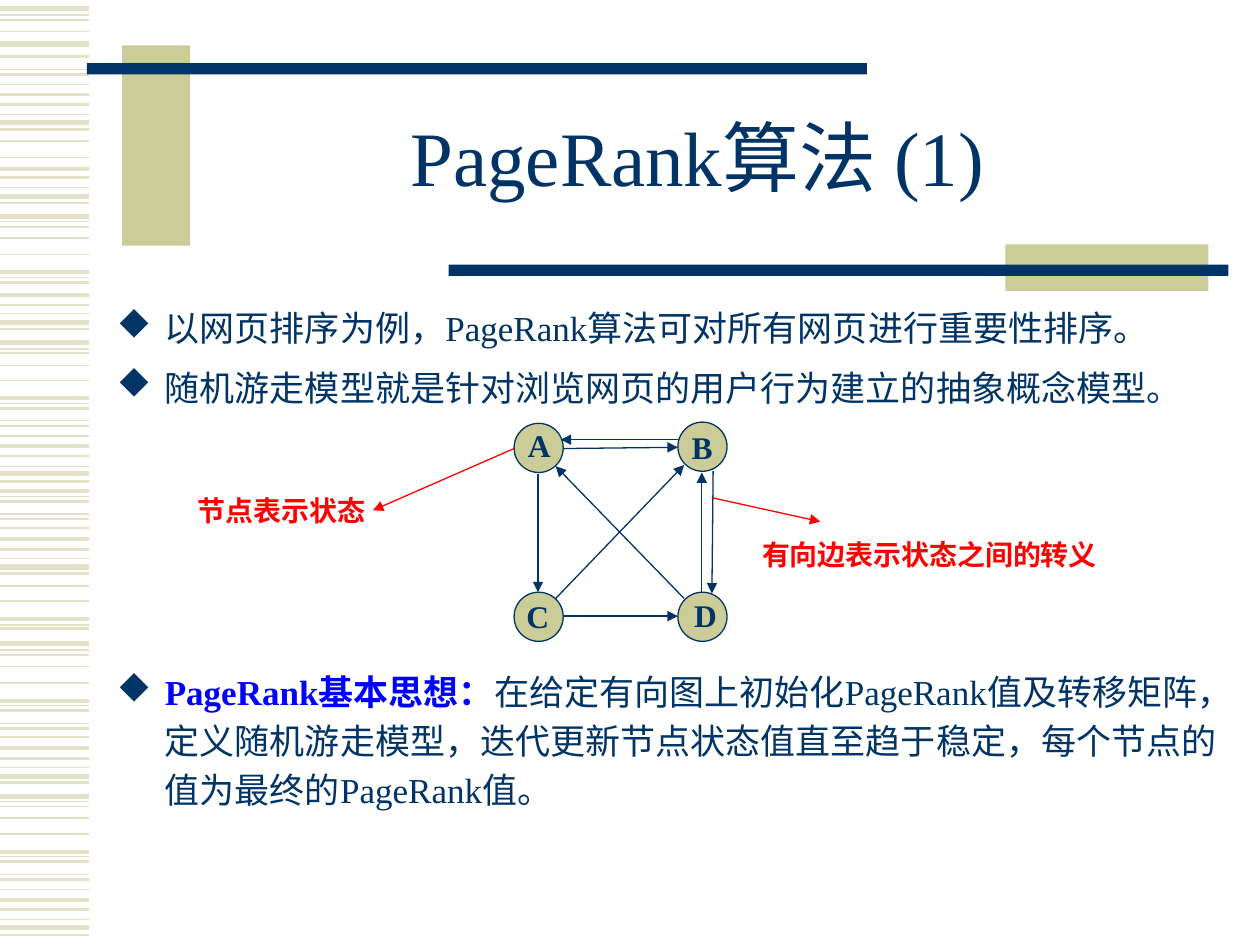
from lxml import etree
from pptx import Presentation
from pptx import util as u
from pptx.dml.color import RGBColor
from pptx.enum import shapes, text
from pptx.oxml.ns import qn

NAVY, KHAKI, PALE, RED, BLUE = "003366", "CCCC99", "E3E2C7", "FF0000", "0000FF"
FONT = "Times New Roman"
BULLET_FONT, DIAMOND = "Wingdings", "u"  # "u" is the diamond in this symbol font
COLUMNS, ROWS = 100, 75

# Margin stripes: line width in points -> rows
STRIPES = {
    3: [0.7, 3.5, 9.7, 15.6, 17.2, 25.6, 27.2, 37.6, 45, 51.1, 61.6, 63.2, 73.6],
    2.25: [7.5, 13.4, 21.6, 23.4, 31.6, 35.4, 39, 42.8, 49.1, 55.6, 59.4, 67.6, 71.4],
    1.5: [4.5, 5.9, 8.3, 10.3, 14.1, 16.1, 22.4, 24.2, 26.1, 32.4, 33.8, 36.2, 38.2,
          39.8, 41.2, 43.6, 45.5, 49.9, 56.4, 57.8, 60.2, 62.1, 68.4, 69.8, 72.2, 74.2],
    1: [1.6, 2.5, 6.7, 11.2, 12.5, 18, 18.9, 20.2, 28, 29, 30.2, 34.6, 41.9, 46.5,
        47.7, 52, 52.9, 54.2, 58.5, 64, 64.9, 66.2, 70.6],
    0.75: [1.2, 5.5, 9.1, 14.9, 17.6, 22, 24.9, 27.7, 32, 33.4, 37, 39.4, 40.8, 44.3,
           49.6, 51.6, 56, 57.4, 60.9, 63.6, 68, 69.4, 73],
}


def rgb(value):
    return RGBColor.from_string(value)


class Deck:
    """Holds the style and the current slide; lengths are grid columns and rows."""

    def __init__(self):
        self.file = Presentation()
        self.file.slide_width, self.file.slide_height = u.Inches(10), u.Inches(7.5)
        self.slide = self.file.slides.add_slide(self.file.slide_layouts[6])

    def place(self, x, y):
        return (round(x * self.file.slide_width / COLUMNS),
                round(y * self.file.slide_height / ROWS))

    def shape(self, kind, x, y, w, h, fill, outline=None):
        item = self.slide.shapes.add_shape(kind, *self.place(x, y), *self.place(w, h))
        item.shadow.inherit = False
        item.fill.solid()
        item.fill.fore_color.rgb = rgb(fill)
        if outline:
            item.line.color.rgb = rgb(outline)
            item.line.width = u.Pt(0.75)
        else:
            item.line.fill.background()

    def line(self, start, end, color, width=0.75, arrow=False):
        item = self.slide.shapes.add_connector(
            shapes.MSO_CONNECTOR.STRAIGHT, *self.place(*start), *self.place(*end))
        item.line.color.rgb = rgb(color)
        item.line.width = u.Pt(width)
        if arrow:
            etree.SubElement(item.line._get_or_add_ln(), qn("a:tailEnd"), type="triangle")
        etree.SubElement(item._element.spPr, qn("a:effectLst"))

    def box(self, x, y, w, h, anchor=text.MSO_ANCHOR.TOP):
        frame = self.slide.shapes.add_textbox(*self.place(x, y), *self.place(w, h)).text_frame
        frame.word_wrap = True
        frame.vertical_anchor = anchor
        return frame

    def run(self, paragraph, words, size, color=NAVY, bold=False):
        run = paragraph.add_run()
        run.text = words
        run.font.name, run.font.size, run.font.bold = FONT, u.Pt(size), bold
        run.font.color.rgb = rgb(color)

    def label(self, x, y, w, h, words, size, color=NAVY):
        self.run(self.box(x, y, w, h).paragraphs[0], words, size, color, True)

    def title(self, x, y, w, h, words):
        paragraph = self.box(x, y, w, h, text.MSO_ANCHOR.MIDDLE).paragraphs[0]
        paragraph.alignment = text.PP_ALIGN.CENTER
        paragraph.line_spacing = 0.85
        self.run(paragraph, words, 44)

    def bullets(self, x, y, w, h, points):
        """Each point is (space before, space after, runs)."""
        frame = self.box(x, y, w, h)
        for index, (before, after, runs) in enumerate(points):
            paragraph = frame.add_paragraph() if index else frame.paragraphs[0]
            paragraph.line_spacing = u.Pt(28)
            paragraph.space_before, paragraph.space_after = u.Pt(before), u.Pt(after)
            properties = paragraph._p.get_or_add_pPr()
            indent = u.Inches(0.38)
            properties.set("marL", str(indent))
            properties.set("indent", str(-indent))
            properties.set("hangingPunct", "0")
            tint = etree.SubElement(properties, qn("a:buClr"))
            etree.SubElement(tint, qn("a:srgbClr"), val=NAVY)
            etree.SubElement(properties, qn("a:buFont"), typeface=BULLET_FONT,
                             pitchFamily="2", charset="2")
            etree.SubElement(properties, qn("a:buChar"), char=DIAMOND)
            for words, color, bold in runs:
                self.run(paragraph, words, 20, color, bold)


def draw_frame(deck):
    for width, rows in STRIPES.items():
        for row in rows:
            deck.line((0, row), (7.1, row), PALE, width)
    for x, y, w, h, fill in [(9.7, 3.6, 5.4, 15.9, KHAKI), (6.9, 5, 61.9, 0.9, NAVY),
                             (79.8, 19.4, 16.1, 3.7, KHAKI), (35.6, 21, 61.9, 0.9, NAVY)]:
        deck.shape(shapes.MSO_SHAPE.RECTANGLE, x, y, w, h, fill)


def draw_graph(deck):
    size = 3.9
    nodes = {"A": (40.8, 33.6, 40.9, 33.3), "B": (53.8, 33.5, 53.9, 33.5),
             "C": (40.8, 47, 40.8, 46.9), "D": (53.8, 47, 54.1, 46.8)}
    for x, y, _, _ in nodes.values():
        deck.shape(shapes.MSO_SHAPE.OVAL, x, y, size, size, KHAKI, NAVY)
    edges = [((44.7, 35.6), (53.8, 35.5)), ((53.9, 34.9), (44.5, 34.9)),
             ((55.7, 47), (55.7, 37.5)), ((54.3, 47.5), (44.1, 37)),
             ((44.1, 47.5), (54.3, 36.9)), ((44.7, 48.9), (53.8, 48.9)),
             ((42.7, 37.6), (42.7, 47)), ((56.6, 37.4), (56.5, 47.1))]
    for start, end in edges:
        deck.line(start, end, NAVY, arrow=True)
    for letter, (_, _, x, y) in nodes.items():
        deck.label(x, y, 3.1, 4, letter, 18)

    deck.line((40.8, 35.6), (29.6, 40.5), RED, arrow=True)
    deck.line((56.5, 39.5), (65.1, 41.4), RED, arrow=True)
    deck.label(14.7, 38.7, 19.4, 3.7, "节点表示状态", 16, RED)
    deck.label(59.5, 42.2, 34, 3.7, "有向边表示状态之间的转义", 16, RED)


def main():
    deck = Deck()
    draw_frame(deck)
    deck.title(15, 6.7, 80.7, 12.5, "PageRank算法 (1)")
    graph_gap = 140
    deck.bullets(8.3, 23.3, 90.6, 48.7, [
        (6, 6, [("以网页排序为例，PageRank算法可对所有网页进行重要性排序。", NAVY, False)]),
        (0, 6, [("随机游走模型就是针对浏览网页的用户行为建立的抽象概念模型。", NAVY, False)]),
        (graph_gap, 12, [
            ("PageRank基本思想：", BLUE, True),
            ("在给定有向图上初始化PageRank值及转移矩阵，定义随机游走模型，"
             "迭代更新节点状态值直至趋于稳定，每个节点的值为最终的PageRank值。", NAVY, False)]),
    ])
    draw_graph(deck)
    deck.file.save("out.pptx")


if __name__ == "__main__":
    main()
